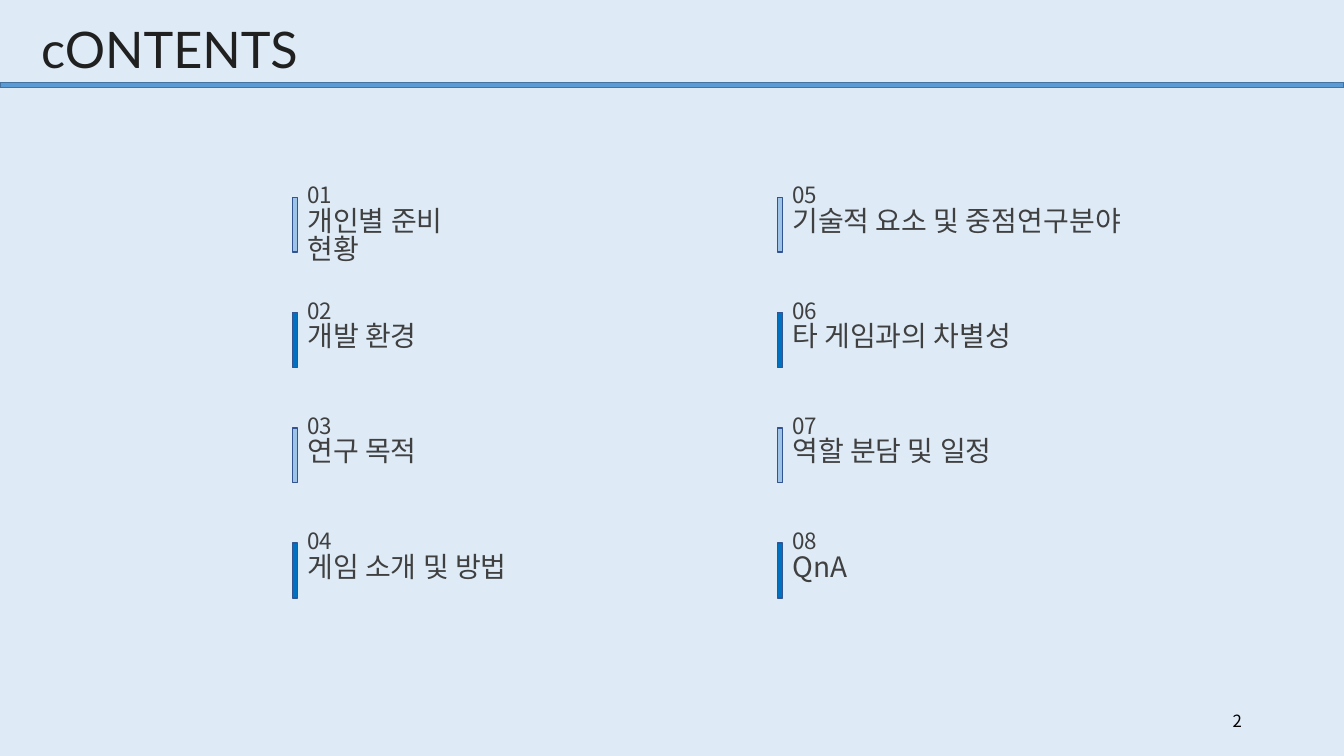
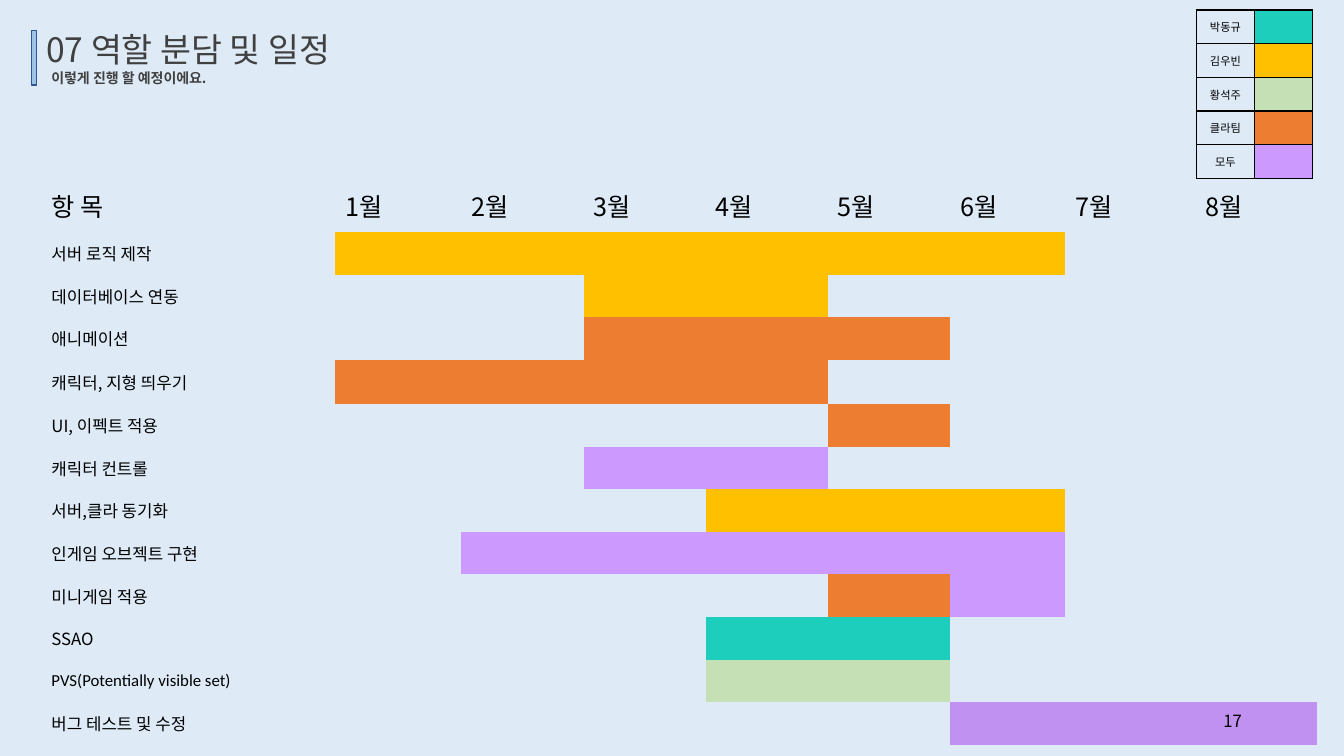
from collections import namedtuple

from lxml.etree import SubElement
from pptx import Presentation
from pptx.dml.color import RGBColor
from pptx.enum.shapes import MSO_SHAPE
from pptx.enum.text import MSO_ANCHOR, PP_ALIGN
from pptx.oxml.ns import qn
from pptx.util import Inches, Pt

Box = namedtuple("Box", "left top width height")

WIDTH, HEIGHT = Inches(13.33), Inches(7.5)
KOREAN, LATIN, TABLE_LATIN = "Noto Sans CJK KR", "Lato", "Calibri"
BACKGROUND, INK, TITLE_INK, BLACK = "DEEBF7", "404040", "202020", "000000"
LIGHT_BLUE, DEEP_BLUE, MARKER_EDGE = "9DC3E6", "0070C0", "325491"
BAND, BAND_EDGE = "5B9BD5", "43739E"
TEAL, AMBER, GREEN = "1ECEBC", "FFC000", "C5E0B4"
ORANGE, VIOLET, DARK_VIOLET = "ED7D31", "CC99FF", "C191F1"
NO_TABLE_STYLE = "{2D5ABB26-0587-4C30-8999-92F81FD0307C}"
MARKER_WIDTH, MARKER_HEIGHT = 0.4, 7.25
NUMBER_BOX = Box(70.65, 92.67, 22.5, 5.33)

CONTENTS = [
    ["개인별 준비 현황", "개발 환경", "연구 목적", "게임 소개 및 방법"],
    ["기술적 요소 및 중점연구분야", "타 게임과의 차별성", "역할 분담 및 일정", "QnA"],
]
CONTENTS_LEFTS = [21.75, 57.83]
CONTENTS_TOP, CONTENTS_STEP = 23.9, 15.25

MONTHS = [f"{month}월" for month in range(1, 9)]
TASKS = [
    ("서버 로직 제작", [(1, 6, AMBER)]),
    ("데이터베이스 연동", [(3, 4, AMBER)]),
    ("애니메이션", [(3, 5, ORANGE)]),
    ("캐릭터, 지형 띄우기", [(1, 4, ORANGE)]),
    ("UI, 이펙트 적용", [(5, 5, ORANGE)]),
    ("캐릭터 컨트롤", [(3, 4, VIOLET)]),
    ("서버,클라 동기화", [(4, 6, AMBER)]),
    ("인게임 오브젝트 구현", [(2, 6, VIOLET)]),
    ("미니게임 적용", [(5, 5, ORANGE), (6, 6, VIOLET)]),
    ("SSAO", [(4, 5, TEAL)]),
    ("PVS(Potentially visible set)", [(4, 5, GREEN)]),
    ("버그 테스트 및 수정", [(6, 8, DARK_VIOLET)]),
]
MEMBERS = [("박동규", TEAL), ("김우빈", AMBER), ("황석주", GREEN),
           ("클라팀", ORANGE), ("모두", VIOLET)]


def color(value):
    return RGBColor.from_string(value)


def place(box):
    return (round(WIDTH * box.left / 100), round(HEIGHT * box.top / 100),
            round(WIDTH * box.width / 100), round(HEIGHT * box.height / 100))


def write(para, text, size=12, font=KOREAN, ink=BLACK, bold=False,
          align=PP_ALIGN.LEFT, spacing=None):
    para.alignment = align
    if spacing:
        para.line_spacing = spacing
    span = para.add_run()
    span.text = text
    span.font.size = Pt(size)
    span.font.name = font
    span.font.bold = bold
    span.font.color.rgb = color(ink)
    SubElement(span.font._element, qn("a:ea"), typeface=font)


def add_text(page, box, lines, anchor=MSO_ANCHOR.TOP, **style):
    frame = page.shapes.add_textbox(*place(box)).text_frame
    frame.word_wrap = True
    frame.vertical_anchor = anchor
    for index, (text, size) in enumerate(lines):
        para = frame.add_paragraph() if index else frame.paragraphs[0]
        write(para, text, size=size, **style)


def add_bar(page, box, fill, edge):
    bar = page.shapes.add_shape(MSO_SHAPE.RECTANGLE, *place(box))
    bar.shadow.inherit = False
    bar.fill.solid()
    bar.fill.fore_color.rgb = color(fill)
    bar.line.color.rgb = color(edge)
    bar.line.width = Pt(1)


def add_marker(page, left, top, fill):
    add_bar(page, Box(left, top, MARKER_WIDTH, MARKER_HEIGHT), fill, MARKER_EDGE)


def add_page(deck, number):
    page = deck.slides.add_slide(deck.slide_layouts[6])
    page.background.fill.solid()
    page.background.fill.fore_color.rgb = color(BACKGROUND)
    return page, lambda: add_text(page, NUMBER_BOX, [(number, 12)],
                                  anchor=MSO_ANCHOR.MIDDLE, align=PP_ALIGN.RIGHT)


def add_grid(page, box, column_weights, row_weights):
    left, top, width, height = place(box)
    table = page.shapes.add_table(len(row_weights), len(column_weights),
                                  left, top, width, height).table
    table.first_row = table.horz_banding = False
    table._tbl.tblPr.find(qn("a:tableStyleId")).text = NO_TABLE_STYLE
    for column, weight in zip(table.columns, column_weights):
        column.width = round(width * weight / sum(column_weights))
    for row, weight in zip(table.rows, row_weights):
        row.height = round(height * weight / sum(row_weights))
    return table


def fill_cell(cell, text="", fill=None, **style):
    cell.vertical_anchor = MSO_ANCHOR.MIDDLE
    if fill:
        cell.fill.solid()
        cell.fill.fore_color.rgb = color(fill)
    else:
        cell.fill.background()
    para = cell.text_frame.paragraphs[0]
    if text:
        write(para, text, **style)
    else:
        SubElement(para._p, qn("a:endParaRPr"), sz="800")


def outline_cell(cell):
    properties = cell._tc.get_or_add_tcPr()
    for index, side in enumerate(("lnL", "lnR", "lnT", "lnB")):
        line = properties.makeelement(qn(f"a:{side}"), {"w": str(Pt(1))})
        fill = SubElement(line, qn("a:solidFill"))
        SubElement(fill, qn("a:srgbClr"), val=BLACK)
        properties.insert(index, line)


def add_entry(page, box, number, title, fill):
    add_marker(page, box.left, box.top + 2.2, fill)
    add_text(page, box._replace(left=box.left + 0.38),
             [(f"{number:02}", 16), (title, 20)], ink=INK, spacing=0.85)


def add_contents_page(deck):
    page, add_number = add_page(deck, "2")
    number = 0
    for left, titles in zip(CONTENTS_LEFTS, CONTENTS):
        for row, title in enumerate(titles):
            number += 1
            box = Box(left, CONTENTS_TOP + row * CONTENTS_STEP,
                      15 if number == 1 else 29, 9.47)
            add_entry(page, box, number, title, DEEP_BLUE if row % 2 else LIGHT_BLUE)
    add_bar(page, Box(0, 10.93, 100, 0.67), BAND, BAND_EDGE)
    add_text(page, Box(2.33, 1.73, 21.8, 9.47), [("cONTENTS", 36)],
             font=LATIN, ink=TITLE_INK)
    add_number()


def add_heading(page, box, title, subtitle):
    add_text(page, Box(box.left + 0.37, box.top, box.width, box.height * 0.7),
             [(title, 24)], ink=INK, spacing=0.85)
    add_marker(page, box.left, box.top, LIGHT_BLUE)
    add_text(page, Box(box.left + 0.75, box.top + 4.93, box.width, box.height * 0.4),
             [(subtitle, 10)], ink=INK, bold=True, spacing=0.85)


def add_schedule(page, box):
    table = add_grid(page, box, [2.91, 1.25, 1.21, 1.21, 1.21, 1.21, 1.14, 1.29, 1.21],
                     [0.53, 0.42, 0.42, 0.42, 0.44] + [0.42] * 8)
    for column, heading in enumerate(["항 목"] + MONTHS):
        fill_cell(table.cell(0, column), heading, size=18)
    for row, (task, periods) in enumerate(TASKS, 1):
        font = TABLE_LATIN if task.startswith("PVS") else KOREAN
        fill_cell(table.cell(row, 0), task, font=font)
        fills = {month: fill for first, last, fill in periods
                 for month in range(first, last + 1)}
        for month in range(1, len(MONTHS) + 1):
            fill_cell(table.cell(row, month), fill=fills.get(month))


def add_legend(page, box):
    table = add_grid(page, box, [1, 1], [1] * len(MEMBERS))
    for row, (member, fill) in enumerate(MEMBERS):
        fill_cell(table.cell(row, 0), member, size=8, align=PP_ALIGN.CENTER)
        fill_cell(table.cell(row, 1), fill=fill)
        for cell in table.rows[row].cells:
            outline_cell(cell)


def add_schedule_page(deck):
    page, add_number = add_page(deck, "17")
    add_heading(page, Box(2.33, 4, 40, 9), "07 역할 분담 및 일정",
                "이렇게 진행 할 예정이에요.")
    add_schedule(page, Box(3.08, 23.6, 94.95, 74.9))
    add_legend(page, Box(89.03, 1.33, 8.62, 22.27))
    add_number()


def main():
    deck = Presentation()
    deck.slide_width, deck.slide_height = WIDTH, HEIGHT
    add_contents_page(deck)
    add_schedule_page(deck)
    deck.save("out.pptx")


if __name__ == "__main__":
    main()
